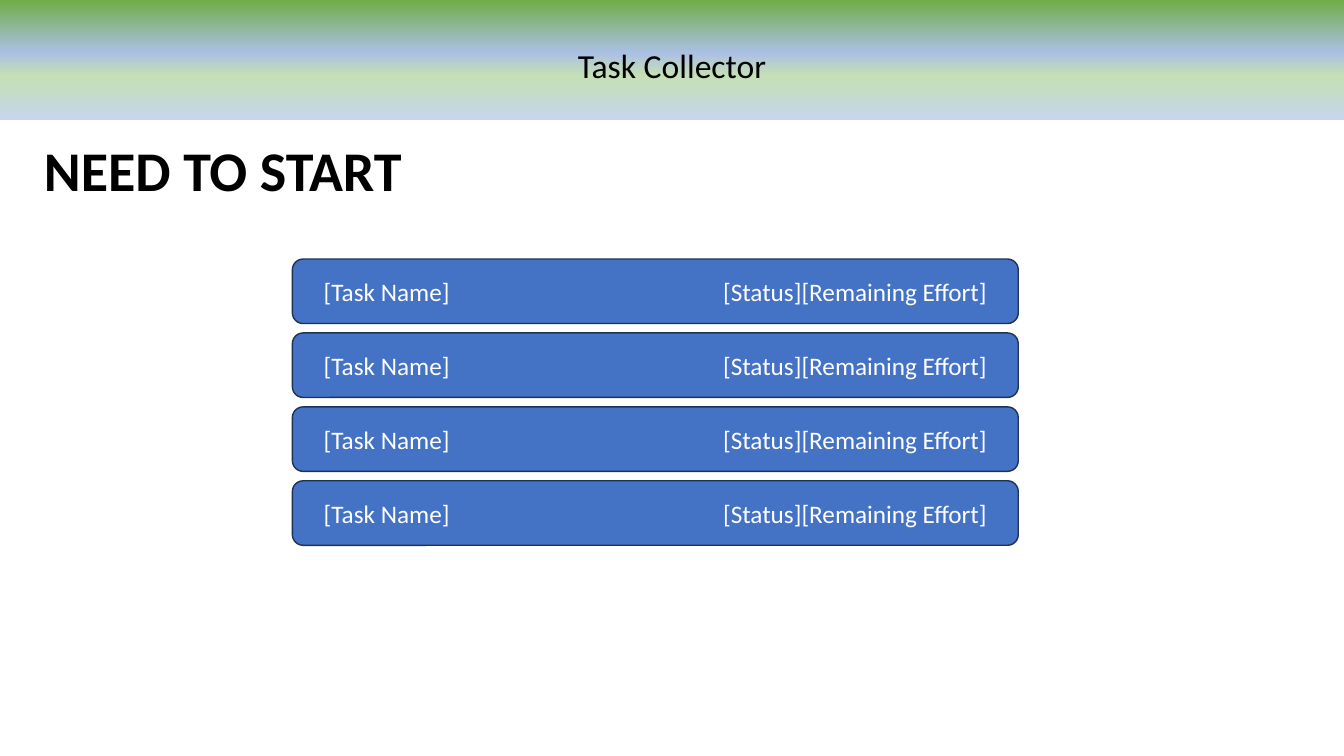
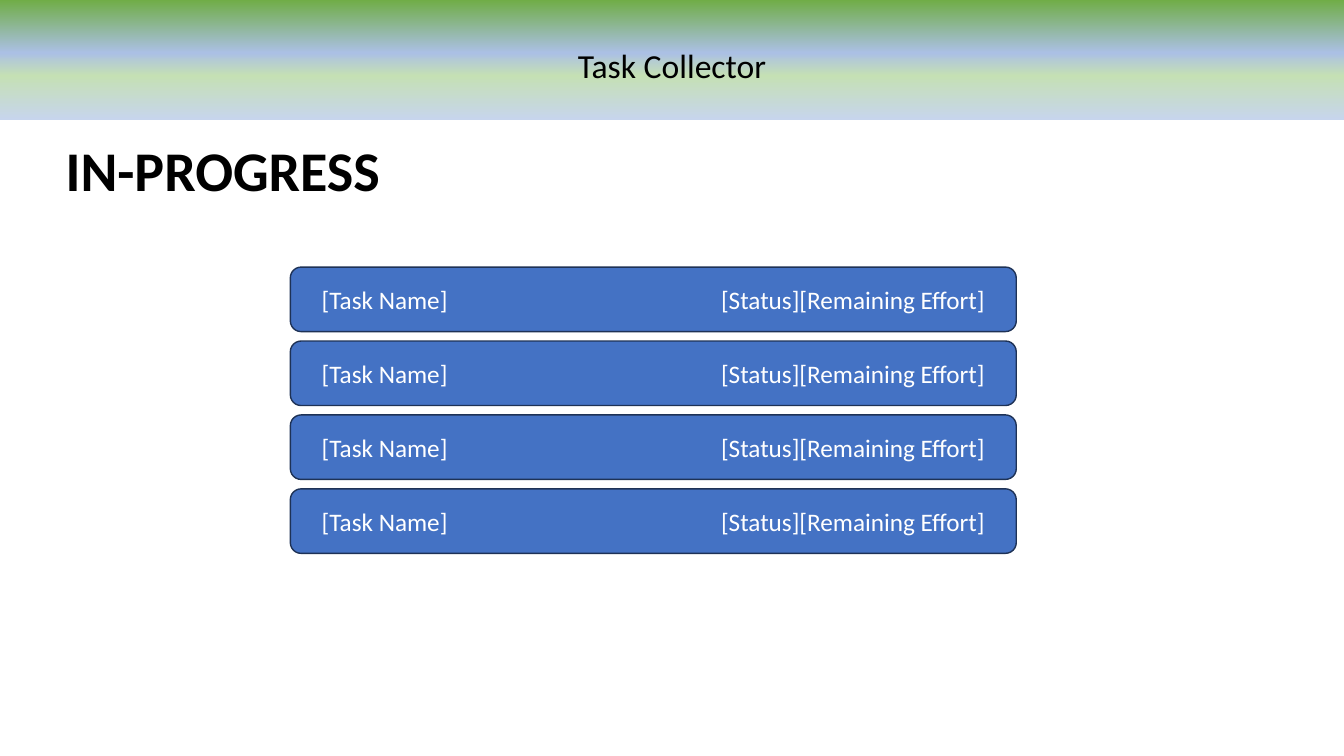
import dataclasses
import typing

import lxml.etree
import pptx
import pptx.dml.color
import pptx.enum.shapes
import pptx.enum.text
import pptx.oxml.ns
import pptx.util

Inches = pptx.util.Inches
RGBColor = pptx.dml.color.RGBColor
Align = pptx.enum.text.PP_ALIGN
Anchor = pptx.enum.text.MSO_ANCHOR
qn = pptx.oxml.ns.qn

# Shared style
FONT = "Calibri"
BLACK = RGBColor(0x00, 0x00, 0x00)
WHITE = RGBColor(0xFF, 0xFF, 0xFF)
BLUE = RGBColor(0x44, 0x72, 0xC4)
NAVY = RGBColor(0x1E, 0x32, 0x56)
STOPS = (
    (0, RGBColor(0x70, 0xAD, 0x47)),
    (44, RGBColor(0xAB, 0xC0, 0xE4)),
    (63, RGBColor(0xC5, 0xE0, 0xB4)),
    (100, RGBColor(0xC7, 0xD5, 0xED)),
)

# Shared sizes, in inches
WIDTH, HEIGHT = 13.33, 7.5
BAR_WIDTH, BAR_HEIGHT = 7.2, 0.64
BAR_COUNT = 4
BAR_PITCH = 2.2 / (BAR_COUNT - 1)
INSET = 0.28


@dataclasses.dataclass(frozen=True)
class Board:
    title: str
    left: float
    top: float


BOARDS = (
    Board("NEED TO START", 2.9, 2.57),
    Board("IN-PROGRESS", 2.88, 2.65),
)


def place(shape: typing.Any, left: float, top: float, width: float, height: float) -> None:
    shape.left, shape.top = Inches(left), Inches(top)
    shape.width, shape.height = Inches(width), Inches(height)


def write(shape: typing.Any, text: str, *, size: float, color: RGBColor,
          bold: bool = False, align: Align = Align.CENTER,
          anchor: Anchor = Anchor.MIDDLE, inset: float = 0.1,
          spacing: float = 1.0, before: float = 0) -> typing.Any:
    """Fill a shape with one formatted paragraph and return it."""
    frame = shape.text_frame
    frame.word_wrap = True
    frame.auto_size = pptx.enum.text.MSO_AUTO_SIZE.NONE
    frame.vertical_anchor = anchor
    frame.margin_left = frame.margin_right = Inches(inset)
    para = frame.paragraphs[0]
    para.alignment = align
    para.line_spacing = spacing
    para.space_before = pptx.util.Pt(before)
    run = para.add_run()
    run.text = text
    run.font.name = FONT
    run.font.size = pptx.util.Pt(size)
    run.font.bold = bold
    run.font.color.rgb = color
    return para


def blend(shape: typing.Any) -> None:
    """Fill a shape from top to bottom with the shared colour stops."""
    shape.fill.gradient()
    shape.fill.gradient_angle = 270
    stops = shape.element.spPr.find(qn("a:gradFill")).find(qn("a:gsLst"))
    for old in list(stops):
        stops.remove(old)
    for percent, color in STOPS:
        stop = lxml.etree.SubElement(stops, qn("a:gs"), pos=str(percent * 1000))
        lxml.etree.SubElement(stop, qn("a:srgbClr"), val=str(color))


def add_bar(group: typing.Any, left: float, top: float) -> None:
    bar = group.shapes.add_shape(
        pptx.enum.shapes.MSO_SHAPE.ROUNDED_RECTANGLE,
        Inches(left), Inches(top), Inches(BAR_WIDTH), Inches(BAR_HEIGHT))
    bar.shadow.inherit = False
    bar.fill.solid()
    bar.fill.fore_color.rgb = BLUE
    bar.line.color.rgb = NAVY
    bar.line.width = pptx.util.Pt(1)
    para = write(bar, "[Task Name]\t[Status][Remaining Effort]", size=18,
                 color=WHITE, align=Align.LEFT, inset=INSET)
    # A right tab holds the status at the far end of the bar
    tabs = lxml.etree.SubElement(para._p.get_or_add_pPr(), qn("a:tabLst"))
    edge = Inches(BAR_WIDTH - 2 * INSET - 0.02)
    lxml.etree.SubElement(tabs, qn("a:tab"), pos=str(int(edge)), algn="r")


def add_board(deck: typing.Any, board: Board) -> None:
    slide = deck.slides.add_slide(deck.slide_layouts[0])

    # Top band
    band = slide.placeholders[1]
    place(band, 0, 0, WIDTH, 1.19)
    blend(band)
    write(band, "Task Collector", size=24, color=BLACK, anchor=Anchor.TOP,
          spacing=2.0, before=10)

    # Heading
    head = slide.shapes.title
    place(head, 0.3, 1.36, 3.82, 0.64)
    write(head, board.title, size=40, color=BLACK, bold=True)

    # Task bars
    group = slide.shapes.add_group_shape()
    for row in range(BAR_COUNT):
        add_bar(group, board.left, board.top + row * BAR_PITCH)


def main() -> None:
    deck = pptx.Presentation()
    deck.slide_width, deck.slide_height = Inches(WIDTH), Inches(HEIGHT)
    for board in BOARDS:
        add_board(deck, board)
    deck.save("out.pptx")


if __name__ == "__main__":
    main()
